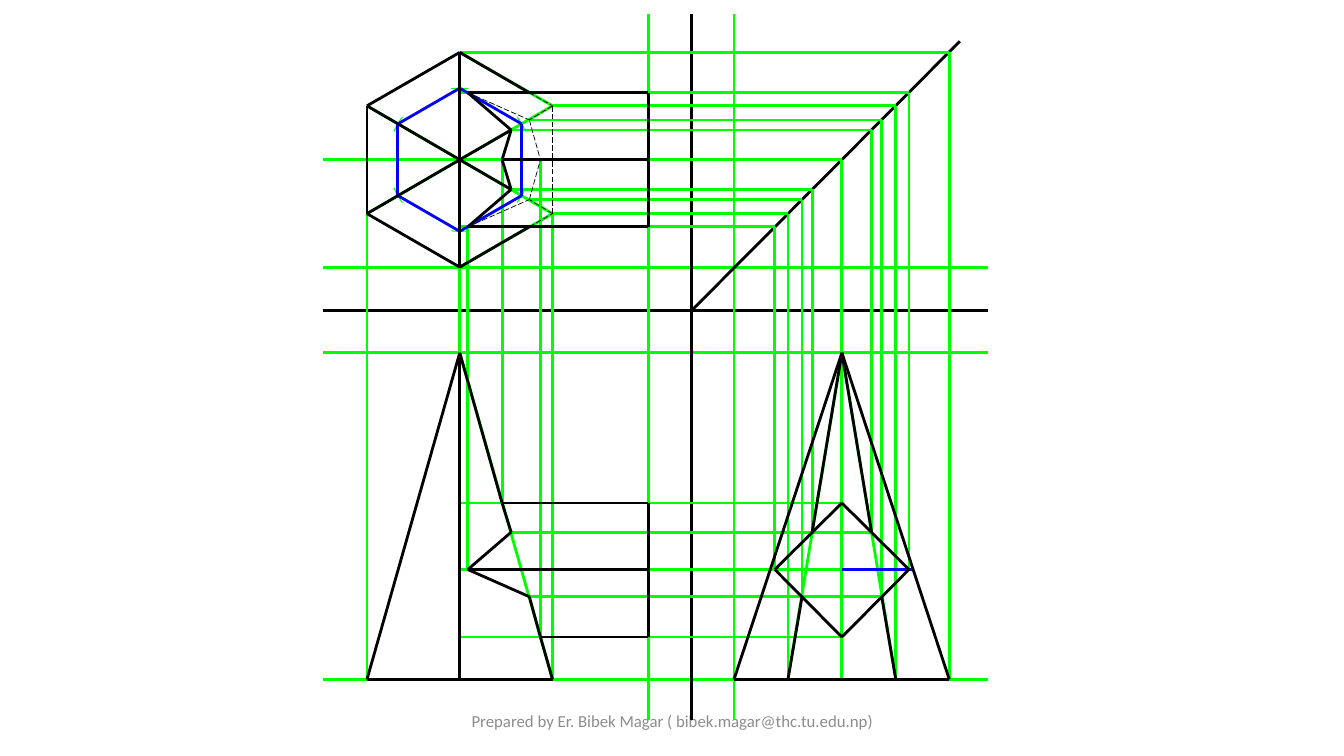
from math import cos, radians, sin

from lxml.etree import SubElement
from pptx import Presentation
from pptx.dml.color import RGBColor
from pptx.enum.dml import MSO_LINE
from pptx.enum.shapes import MSO_CONNECTOR
from pptx.enum.text import MSO_ANCHOR, PP_ALIGN
from pptx.oxml.ns import qn
from pptx.util import Inches, Pt

# Pen formats
PENS = {
    "guide": ("00FF00", {"width": Pt(0)}),
    "trial": ("0000FF", {"width": Pt(0)}),
    "solid": ("000000", {"width": Pt(0)}),
    "hidden": ("000000", {"width": Pt(0.5), "dash_style": MSO_LINE.LONG_DASH}),
}

# Columns of the front view and the axes
LEFT, RIGHT = 3.2, 9.8
WEST, AXIS, EAST = 3.64, 4.56, 5.48
WALL, FOLD, FACE = 6.43, 6.86, 7.28

# Rows of the front view
GROUND, APEX, BASE = 3.08, 3.5, 6.74
TOP, MID, LOW = 4.99, 5.65, 6.32

# Rows of the plan, symmetric about its centre line
SPAN = 3.17
HEART = SPAN / 2
BACK, CORNER, EDGE = 0.52, 1.05, 0.92
UPPER, LOWER = 1.29, 1.19

# The 45 degree line turns a plan row y into the side view column TURN - y
TURN = 19.87 / 2
CORE = TURN - HEART

# Where the prism meets the pyramid in the front view
CUT_TOP, CUT_UP, CUT_MID, CUT_DOWN, CUT_LOW = (
    (4.98, TOP), (5.07, 5.28), (4.64, MID), (5.25, 5.92), (5.36, LOW))

deck = Presentation()
deck.slide_width, deck.slide_height = Inches(13.33), Inches(7.5)
slide = deck.slides.add_slide(deck.slide_layouts[6])
shapes = slide.shapes


def ink(line, pen):
    """Apply the colour, width and dash of a named pen to a line."""
    tone, traits = PENS[pen]
    line.color.rgb = RGBColor.from_string(tone)
    for key, value in traits.items():
        setattr(line, key, value)


def draw(pen, *points):
    """Join the points, in inches, with straight connectors."""
    for start, end in zip(points, points[1:]):
        link = shapes.add_connector(
            MSO_CONNECTOR.STRAIGHT, *[Inches(v) for v in start + end])
        ink(link.line, pen)
        SubElement(link._element.spPr, qn("a:effectLst"))


# Footer
box = shapes.add_textbox(Inches(4.42), Inches(6.95), Inches(4.5), Inches(0.4))
frame = box.text_frame
frame.word_wrap = True
frame.vertical_anchor = MSO_ANCHOR.MIDDLE
para = frame.paragraphs[0]
para.text = "Prepared by Er. Bibek Magar ( bibek.magar@thc.tu.edu.np)"
para.alignment = PP_ALIGN.CENTER
for key, value in {"name": "Calibri", "size": Pt(12)}.items():
    setattr(para.font, key, value)
para.font.color.rgb = RGBColor.from_string("8C8C8C")

# Axes and long guides
for pen, row in (("guide", SPAN - BACK), ("solid", GROUND),
                 ("guide", APEX), ("guide", BASE)):
    draw(pen, (LEFT, row), (RIGHT, row))
for pen, col in (("guide", WALL), ("solid", FOLD), ("guide", FACE)):
    draw(pen, (col, 7.14), (col, 0.14))
draw("solid", (FOLD, GROUND), (9.52, 0.41))
draw("guide", (AXIS, HEART), (LEFT, HEART))

# Guides from the plan over the 45 degree line to the side view
for col, row, foot in (
        (AXIS, BACK, BASE), (EAST, CORNER, BASE), (EAST, SPAN - CORNER, BASE),
        (AXIS, HEART, BASE), (AXIS, EDGE, MID), (AXIS, SPAN - EDGE, MID),
        (5.07, UPPER, 5.28), (5.07, SPAN - UPPER, 5.28),
        (5.25, LOWER, 5.92), (5.25, SPAN - LOWER, 5.92)):
    draw("guide", (col, row), (TURN - row, row), (TURN - row, foot))

# Guides from the plan down to the front view
for col, row, foot in (
        (WEST, SPAN - CORNER, BASE), (AXIS, SPAN - BACK, BASE),
        (EAST, SPAN - CORNER, BASE), (4.98, HEART, TOP),
        (5.36, HEART, LOW), (4.64, SPAN - EDGE, MID)):
    draw("guide", (col, row), (col, foot))

# Guides from the front view across to the side view
for start, end, row in (
        (AXIS, CORE, TOP), (AXIS, CORE, LOW), (AXIS, 9.06, MID),
        (5.25, TURN - LOWER, 5.92), (5.07, TURN - UPPER, 5.28)):
    draw("guide", (start, row), (end, row))

# Sloping guides of the pyramid
draw("guide", (EAST, BASE), (AXIS, APEX))
for row in (CORNER, SPAN - CORNER):
    draw("guide", (CORE, APEX), (TURN - row, BASE))
    draw("guide", (EAST, row), (WEST, SPAN - row))
    draw("guide", (EAST, row), (AXIS, BACK if row < HEART else SPAN - BACK))

# Inner hexagon with a compass tick at each corner
corners = [(AXIS + 0.71 * cos(radians(a)), HEART + 0.71 * sin(radians(a)))
           for a in range(90, 451, 60)]
for turn in range(90, 450, 60):
    arc = [(Inches(AXIS + 0.71 * cos(radians(turn + a))),
            Inches(HEART + 0.71 * sin(radians(turn + a))))
           for a in (-6.8, -3.4, 0, 3.4, 6.8)]
    pencil = shapes.build_freeform(*arc[0])
    pencil.add_line_segments(arc[1:], close=False)
    tick = pencil.convert_to_shape()
    tick.shadow.inherit = False
    tick.fill.background()
    ink(tick.line, "guide")
draw("trial", *corners)
draw("trial", (CORE, MID), (9.06, MID))

# Plan: the two halves mirror each other
draw("solid", (AXIS, SPAN - BACK), (AXIS, BACK))
draw("solid", (WEST, CORNER), (WEST, SPAN - CORNER))
draw("hidden", (EAST, SPAN - CORNER), (EAST, CORNER))
draw("solid", (WALL, HEART), (4.98, HEART))
draw("solid", (WALL, EDGE), (WALL, SPAN - EDGE))
for back, corner, edge, upper, lower in (
        (BACK, CORNER, EDGE, UPPER, LOWER),
        [SPAN - row for row in (BACK, CORNER, EDGE, UPPER, LOWER)]):
    draw("solid", (AXIS, back), (WEST, corner), (AXIS, HEART), (5.07, upper))
    draw("solid", (AXIS, back), (5.25, edge))
    draw("hidden", (5.25, edge), (EAST, corner), (5.25, lower))
    draw("solid", (4.98, HEART), (5.07, upper), (4.64, edge), (WALL, edge))
    draw("hidden", (4.64, edge), (5.25, lower), (5.36, HEART))

# Front view
draw("solid", (AXIS, APEX), (WEST, BASE), (EAST, BASE), CUT_LOW,
     CUT_DOWN, CUT_MID, CUT_UP, CUT_TOP, (AXIS, APEX), (AXIS, BASE))
draw("solid", CUT_TOP, (WALL, TOP), (WALL, LOW), CUT_LOW)
draw("solid", (WALL, MID), CUT_MID)

# Side view
draw("solid", (CORE, APEX), (FACE, BASE), (TURN - BACK, BASE), (CORE, APEX))
draw("solid", (CORE, LOW), (TURN - EDGE, MID), (CORE, TOP),
     (TURN - SPAN + EDGE, MID), (CORE, LOW))
for corner, upper, lower in (
        (CORNER, UPPER, LOWER),
        [SPAN - row for row in (CORNER, UPPER, LOWER)]):
    draw("solid", (CORE, APEX), (TURN - upper, 5.28))
    draw("solid", (TURN - lower, 5.92), (TURN - corner, BASE))

deck.save("out.pptx")
